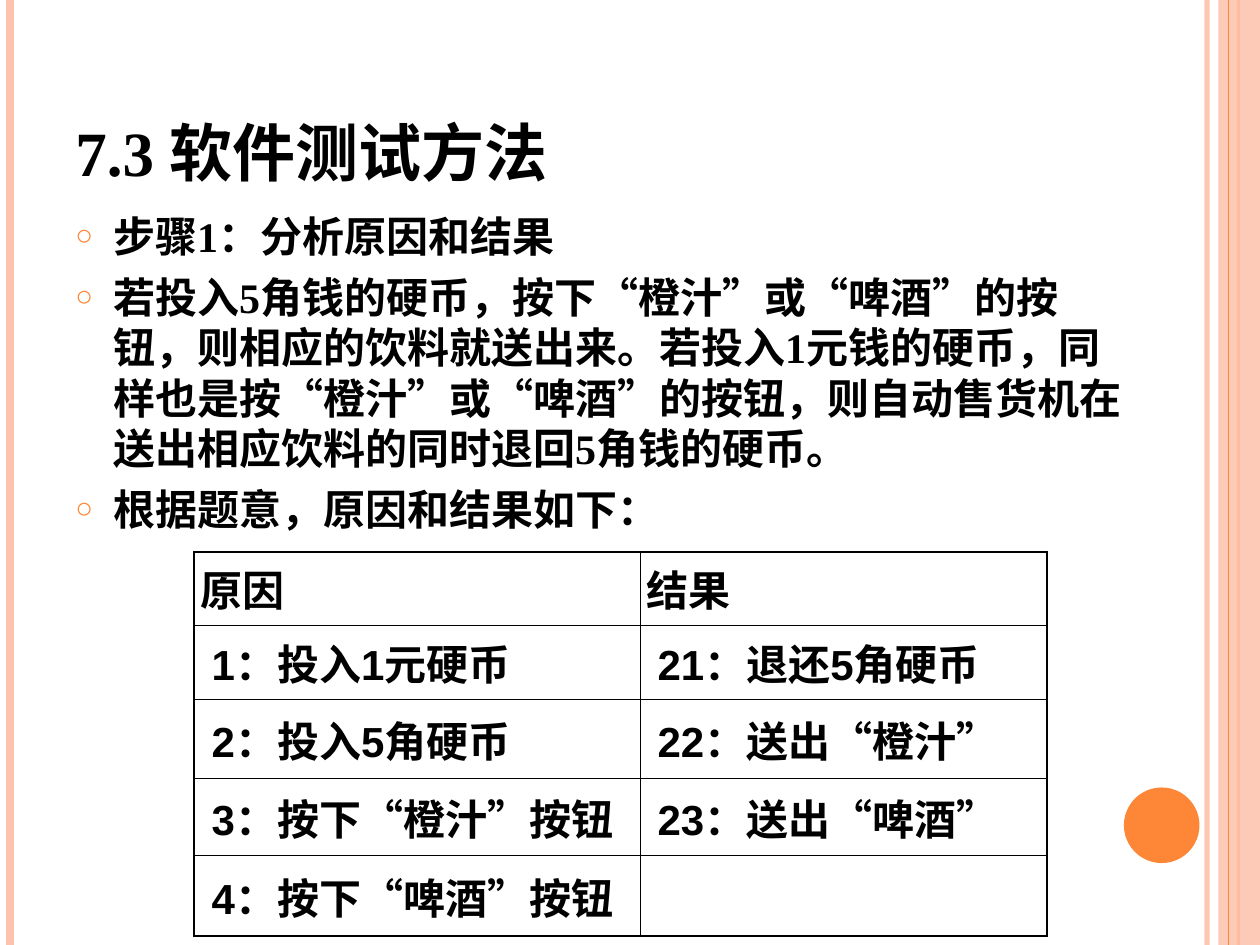
from lxml import etree
from pptx import Presentation
from pptx.dml.color import RGBColor
from pptx.enum.shapes import MSO_CONNECTOR, MSO_SHAPE
from pptx.enum.text import MSO_ANCHOR
from pptx.oxml.ns import qn
from pptx.util import Inches, Pt

STRAIGHT = MSO_CONNECTOR.STRAIGHT
RECTANGLE, OVAL = MSO_SHAPE.RECTANGLE, MSO_SHAPE.OVAL
MIDDLE, BOTTOM = MSO_ANCHOR.MIDDLE, MSO_ANCHOR.BOTTOM

COLORS = {"text": "000000", "paper": "FFFFFF", "orange": "FE8637", "peach": "FEC3AE"}
SLIDE_WIDTH, SLIDE_HEIGHT = 10, 7.5
THICK, THIN = 1.08, 0.45

TITLE = "7.3 软件测试方法"
BULLETS = [
    "步骤1：分析原因和结果",
    "若投入5角钱的硬币，按下“橙汁”或“啤酒”的按钮，则相应的饮料就送出来。"
    "若投入1元钱的硬币，同样也是按“橙汁”或“啤酒”的按钮，"
    "则自动售货机在送出相应饮料的同时退回5角钱的硬币。",
    "根据题意，原因和结果如下：",
]
CAUSES_AND_RESULTS = [
    ("原因", "结果"),
    ("1：投入1元硬币", "21：退还5角硬币"),
    ("2：投入5角硬币", "22：送出“橙汁”"),
    ("3：按下“橙汁”按钮", "23：送出“啤酒”"),
    ("4：按下“啤酒”按钮", ""),
]
COLUMN_WIDTHS = [3.54, 3.23]
ROW_HEIGHTS = [0.58, 0.59, 0.63, 0.61, 0.64]


def rgb(name):
    return RGBColor.from_string(COLORS[name])


def add_element(parent, tag, **attributes):
    return etree.SubElement(parent, qn(tag), attributes)


def set_alpha(fill_parent, percent):
    color = fill_parent.find(".//" + qn("a:srgbClr"))
    add_element(color, "a:alpha", val=str(percent * 1000))


def set_font(paragraph, name, size):
    font = paragraph.font
    font.name, font.size, font.bold = name, Pt(size), True
    font.color.rgb = rgb("text")


def add_stripe(slide, x, color, width, alpha=None):
    """Draw a vertical line over the whole slide height."""
    line = slide.shapes.add_connector(
        STRAIGHT, Inches(x), 0, Inches(x), Inches(SLIDE_HEIGHT))
    line.line.color.rgb = rgb(color)
    line.line.width = Pt(width)
    properties = line._element.spPr
    add_element(properties, "a:effectLst")
    if alpha:
        set_alpha(properties, alpha)


def add_plain_shape(slide, kind, box, color):
    shape = slide.shapes.add_shape(kind, *map(Inches, box))
    shape.shadow.inherit = False
    shape.fill.solid()
    shape.fill.fore_color.rgb = rgb(color)
    shape.line.fill.background()
    return shape


def add_decoration(slide):
    add_stripe(slide, 9.58, "peach", 3, alpha=93)
    add_stripe(slide, 0.08, "peach", 4.5)
    add_stripe(slide, 9.83, "orange", 1.5)
    band = add_plain_shape(slide, RECTANGLE, (9.67, 0, 0.33, SLIDE_HEIGHT), "peach")
    set_alpha(band._element.spPr, 87)
    add_stripe(slide, 9.75, "orange", 0.75)
    add_plain_shape(slide, OVAL, (8.92, 6.25, 0.6, 0.6), "orange")


def add_text_frame(slide, box):
    frame = slide.shapes.add_textbox(*map(Inches, box)).text_frame
    frame.word_wrap = True
    return frame


def add_title(slide, box):
    frame = add_text_frame(slide, box)
    frame.vertical_anchor = BOTTOM
    frame.text = TITLE
    set_font(frame.paragraphs[0], "Times New Roman", 36)


def add_bullet(paragraph):
    properties = paragraph._p.get_or_add_pPr()
    indent = Inches(0.3)
    properties.set("marL", str(indent))
    properties.set("indent", str(-indent))
    properties.set("hangingPunct", "0")
    color = add_element(properties, "a:buClr")
    add_element(color, "a:srgbClr", val=COLORS["orange"])
    add_element(properties, "a:buSzPct", val="70000")
    add_element(properties, "a:buFont", typeface="Arial")
    add_element(properties, "a:buChar", char="○")


def add_body(slide, box):
    frame = add_text_frame(slide, box)
    for index, text in enumerate(BULLETS):
        paragraph = frame.add_paragraph() if index else frame.paragraphs[0]
        paragraph.text = text
        add_bullet(paragraph)
        if index:
            paragraph.space_before = Pt(6)
        set_font(paragraph, "Times New Roman", 24)


def set_borders(cell, widths):
    """Set the left, right, top and bottom borders, in points."""
    properties = cell._tc.get_or_add_tcPr()
    for position, (side, width) in enumerate(zip("LRTB", widths)):
        line = etree.Element(qn(f"a:ln{side}"), w=str(Pt(width)))
        fill = add_element(line, "a:solidFill")
        add_element(fill, "a:srgbClr", val=COLORS["text"])
        properties.insert(position, line)


def add_cause_result_table(slide, left, top):
    row_count, column_count = len(ROW_HEIGHTS), len(COLUMN_WIDTHS)
    table = slide.shapes.add_table(
        row_count, column_count, Inches(left), Inches(top),
        Inches(sum(COLUMN_WIDTHS)), Inches(sum(ROW_HEIGHTS))).table
    for column, width in zip(table.columns, COLUMN_WIDTHS):
        column.width = Inches(width)
    for row, height in zip(table.rows, ROW_HEIGHTS):
        row.height = Inches(height)
    for row, texts in enumerate(CAUSES_AND_RESULTS):
        for column, text in enumerate(texts):
            cell = table.cell(row, column)
            cell.text = text
            cell.vertical_anchor = MIDDLE
            cell.margin_right = cell.margin_top = cell.margin_bottom = Inches(0.05)
            cell.margin_left = Inches(0.14 if row else 0.05)
            cell.fill.solid()
            cell.fill.fore_color.rgb = rgb("paper")
            set_font(cell.text_frame.paragraphs[0], "Arial", 24)
            outer_sides = (column == 0, column == column_count - 1,
                           row == 0, row == row_count - 1)
            set_borders(cell, [THICK if outer else THIN for outer in outer_sides])


def main():
    presentation = Presentation()
    presentation.slide_width = Inches(SLIDE_WIDTH)
    presentation.slide_height = Inches(SLIDE_HEIGHT)
    slide = presentation.slides.add_slide(presentation.slide_layouts[6])
    add_decoration(slide)
    add_title(slide, (0.5, 0.3, 8.17, 1.25))
    add_body(slide, (0.5, 1.62, 8.6, 5.46))
    add_cause_result_table(slide, 1.54, 4.38)
    presentation.save("out.pptx")


if __name__ == "__main__":
    main()
